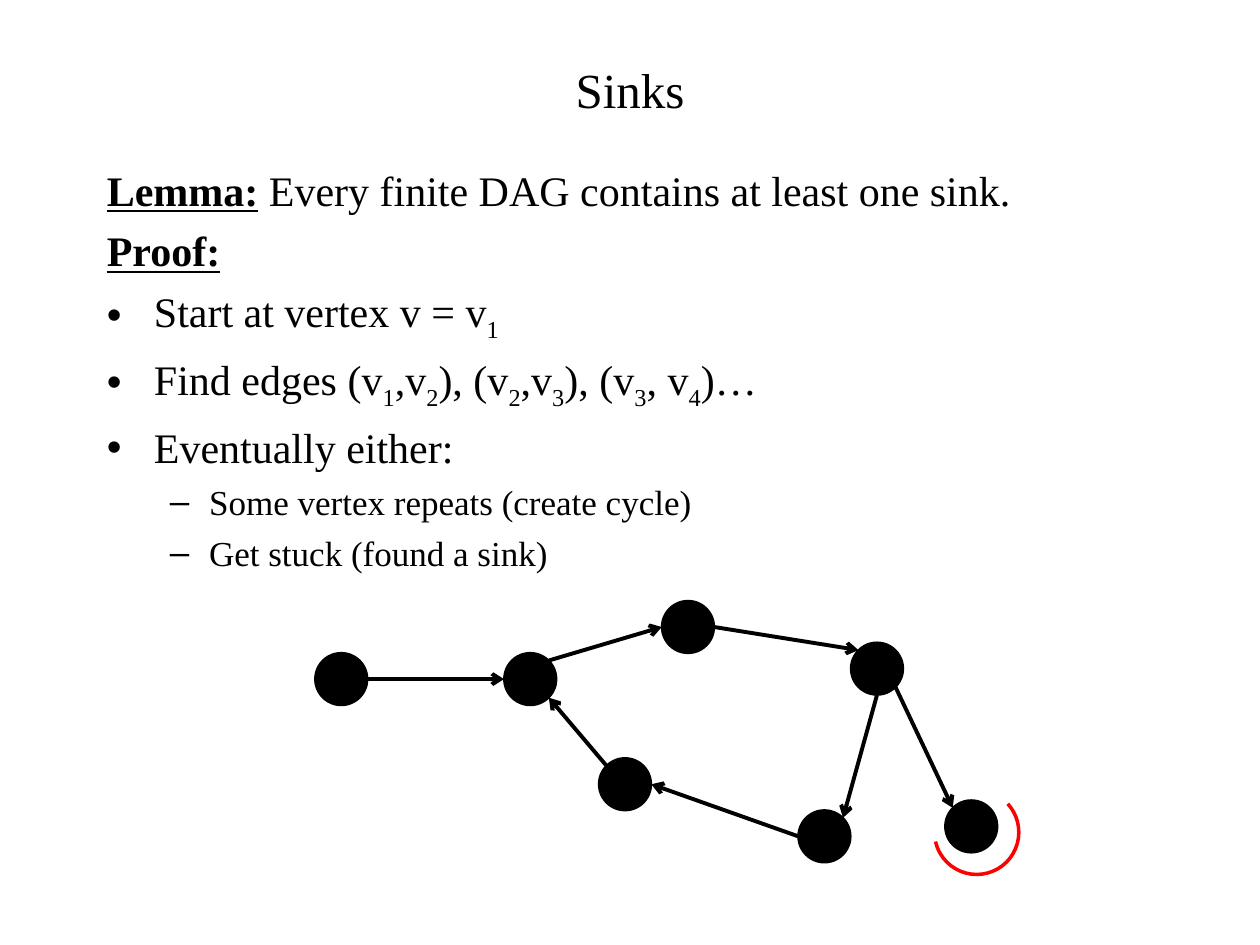
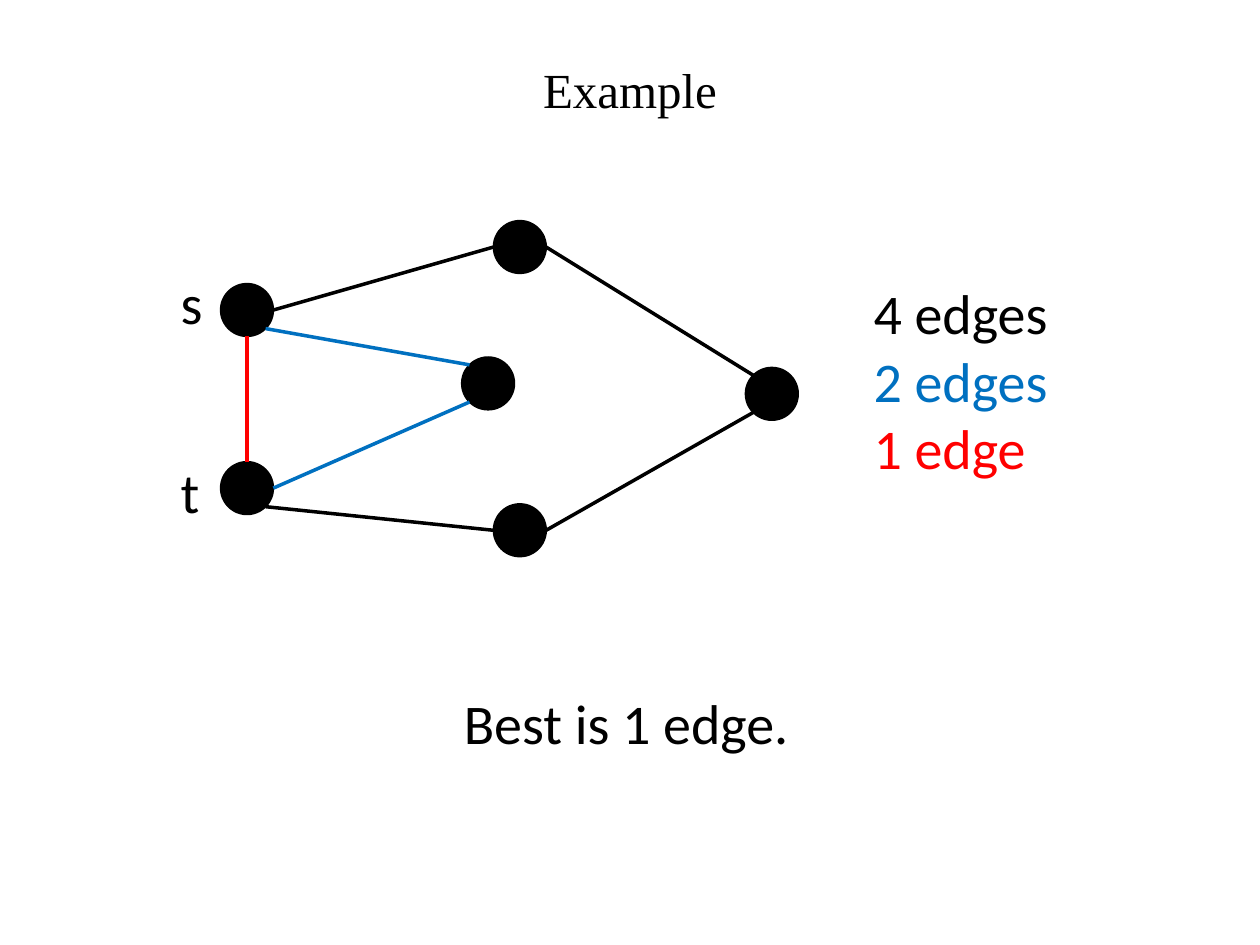
import math

import lxml.etree
import pptx
import pptx.dml.color
import pptx.enum.shapes
import pptx.enum.text
import pptx.oxml.ns
import pptx.util

Cm = pptx.util.Cm
Pt = pptx.util.Pt
qn = pptx.oxml.ns.qn

BLACK, BLUE, RED = "000000", "0070C0", "FF0000"
SERIF, SANS = "Times New Roman", "Calibri"
NODE = 1.06  # node diameter in cm

# Connection sites of an ellipse run counter-clockwise from the top
TOP, TOP_LEFT, LEFT, BOTTOM_LEFT, BOTTOM, BOTTOM_RIGHT, RIGHT, TOP_RIGHT = range(8)


def rgb(color):
    return pptx.dml.color.RGBColor.from_string(color)


def box(left, top, width, height):
    return [Cm(v) for v in (left, top, width, height)]


def set_attrs(obj, values):
    for name, value in values.items():
        setattr(obj, name, value)


class Deck:
    """Holds the shared style and the current slide."""

    def __init__(self):
        self.prs = pptx.Presentation()
        self.prs.slide_width, self.prs.slide_height = Cm(25.4), Cm(19.05)
        self.s = None

    def slide(self, layout, title):
        self.s = self.prs.slides.add_slide(self.prs.slide_layouts[layout])
        sp = self.s.shapes.title
        self.place(sp, 1.9, 1.06, 21.6, 1.48)
        sp.text_frame.vertical_anchor = pptx.enum.text.MSO_ANCHOR.MIDDLE
        p = sp.text_frame.paragraphs[0]
        p.alignment = pptx.enum.text.PP_ALIGN.CENTER
        self.run(p, title, 28)

    def place(self, sp, *bounds):
        set_attrs(sp, dict(zip(("left", "top", "width", "height"), box(*bounds))))
        sp.text_frame.auto_size = pptx.enum.text.MSO_AUTO_SIZE.NONE

    def run(self, p, text, size, font=SERIF, color=BLACK, **extra):
        r = p.add_run()
        r.text = text
        set_attrs(r.font, {"name": font, "size": Pt(size), **extra})
        r.font.color.rgb = rgb(color)
        return r

    def body(self, items):
        """Each item is (kind, heading, text); "_" marks a one-character subscript."""
        styles = {  # level, size, left margin, hanging indent, space before
            "plain": (0, 24, 0.95, 0.95, 6),
            "bullet": (0, 24, 0.95, 0.95, 6),
            "dash": (1, 20, 2.06, 0.79, 5),
        }
        sp = self.s.placeholders[1]
        self.place(sp, 1.9, 3.18, 21.6, 13.76)
        tf = sp.text_frame
        for i, (kind, heading, text) in enumerate(items):
            level, size, margin, hanging, space = styles[kind]
            p = tf.add_paragraph() if i else tf.paragraphs[0]
            set_attrs(p, {"level": level, "space_before": Pt(space if i else 0)})
            pPr = p._p.get_or_add_pPr()
            pPr.set("marL", str(Cm(margin)))
            pPr.set("indent", str(-Cm(hanging)))
            if kind == "plain":
                lxml.etree.SubElement(pPr, qn("a:buNone"))
            if heading:
                self.run(p, heading, size, bold=True, underline=True)
            first, *rest = text.split("_")
            if first:
                self.run(p, first, size)
            for part in rest:
                r = self.run(p, part[0], size)
                r.font._element.set("baseline", "-25000")
                if part[1:]:
                    self.run(p, part[1:], size)

    def label(self, bounds, lines):
        tf = self.s.shapes.add_textbox(*box(*bounds)).text_frame
        set_attrs(tf, {"word_wrap": True,
                       "auto_size": pptx.enum.text.MSO_AUTO_SIZE.SHAPE_TO_FIT_TEXT})
        for i, (text, color) in enumerate(lines):
            p = tf.add_paragraph() if i else tf.paragraphs[0]
            self.run(p, text, 32, SANS, color)

    def node(self, left, top):
        sp = self.s.shapes.add_shape(pptx.enum.shapes.MSO_SHAPE.OVAL,
                                     *box(left, top, NODE, NODE))
        sp.shadow.inherit = False
        sp.fill.solid()
        sp.fill.fore_color.rgb = sp.line.color.rgb = rgb(BLACK)
        sp.line.width = Pt(1)
        return sp

    def site(self, sp, index):
        angle = math.radians(90 + 45 * index)
        radius = sp.width / 2
        return (round(sp.left + radius + radius * math.cos(angle)),
                round(sp.top + radius - radius * math.sin(angle)))

    def edge(self, start, start_site, end, end_site, color=BLACK, width=2, arrow=False):
        c = self.s.shapes.add_connector(pptx.enum.shapes.MSO_CONNECTOR.STRAIGHT,
                                        *self.site(start, start_site),
                                        *self.site(end, end_site))
        c.line.color.rgb = rgb(color)
        c.line.width = Pt(width)
        # Glue both ends to the ellipse sites
        joints = c.element.find(".//" + qn("p:cNvCxnSpPr"))
        for tag, sp, index in (("a:stCxn", start, start_site), ("a:endCxn", end, end_site)):
            lxml.etree.SubElement(joints, qn(tag), id=str(sp.shape_id), idx=str(index))
        spPr = c.element.spPr
        if arrow:
            lxml.etree.SubElement(spPr.find(qn("a:ln")), qn("a:tailEnd"), type="arrow")
        lxml.etree.SubElement(spPr, qn("a:effectLst"))

    def arc(self, bounds, start, end, color):
        sp = self.s.shapes.add_shape(pptx.enum.shapes.MSO_SHAPE.ARC, *box(*bounds))
        sp.shadow.inherit = False
        sp.fill.background()
        sp.line.color.rgb = rgb(color)
        sp.line.width = Pt(2)
        for i, degrees in enumerate((start, end)):
            sp.adjustments[i] = degrees * 0.6  # 60000 units a degree, scaled by 100000


def sinks(deck):
    deck.slide(1, "Sinks")
    deck.body([
        ("plain", "Lemma:", " Every finite DAG contains at least one sink."),
        ("plain", "Proof:", ""),
        ("bullet", "", "Start at vertex v = v_1"),
        ("bullet", "", "Find edges (v_1,v_2), (v_2,v_3), (v_3, v_4)…"),
        ("bullet", "", "Eventually either:"),
        ("dash", "", "Some vertex repeats (create cycle)"),
        ("dash", "", "Get stuck (found a sink)"),
    ])
    # Directed graph: a path into a cycle, with a way out to the sink
    start, entry, top, fork, low, back, sink = [deck.node(*at) for at in (
        (6.35, 13.16), (10.16, 13.16), (13.34, 12.11), (17.15, 12.95),
        (16.09, 16.33), (12.07, 15.28), (19.05, 16.13))]
    for ends in ((start, RIGHT, entry, LEFT),
                 (entry, TOP_RIGHT, top, LEFT),
                 (top, RIGHT, fork, TOP_LEFT),
                 (fork, BOTTOM, low, TOP_RIGHT),
                 (low, LEFT, back, RIGHT),
                 (back, TOP_LEFT, entry, BOTTOM_RIGHT),
                 (fork, BOTTOM_RIGHT, sink, TOP_LEFT)):
        deck.edge(*ends, width=2.25, arrow=True)
    # Mark around the sink
    deck.arc((18.84, 15.93, 1.7, 1.7), 317.5, 167.4, RED)


def example(deck):
    deck.slide(5, "Example")
    # Graph with three paths from s to t
    s, t, top, bottom, right, middle = [deck.node(*at) for at in (
        (4.45, 5.72), (4.45, 9.31), (9.95, 4.45),
        (9.95, 10.16), (15.03, 7.41), (9.31, 7.2))]
    for ends in ((s, RIGHT, top, LEFT),
                 (right, TOP_LEFT, top, RIGHT),
                 (bottom, RIGHT, right, BOTTOM_LEFT),
                 (t, BOTTOM_RIGHT, bottom, LEFT),
                 (t, TOP, s, BOTTOM, RED),
                 (t, RIGHT, middle, BOTTOM_LEFT, BLUE),
                 (s, BOTTOM_RIGHT, middle, TOP_LEFT, BLUE)):
        deck.edge(*ends)
    # Vertex names, path lengths and answer
    for name, y in (("s", 5.29), ("t", 9.1)):
        deck.label((3.39, y, 1.06, 1.62), [(name, BLACK)])
    deck.label((17.36, 5.5, 4.23, 4.33),
               [("4 edges", BLACK), ("2 edges", BLUE), ("1 edge", RED)])
    deck.label((9.1, 13.76, 7.62, 1.62), [("Best is 1 edge.", BLACK)])


def main():
    deck = Deck()
    sinks(deck)
    example(deck)
    deck.prs.save("out.pptx")


if __name__ == "__main__":
    main()
